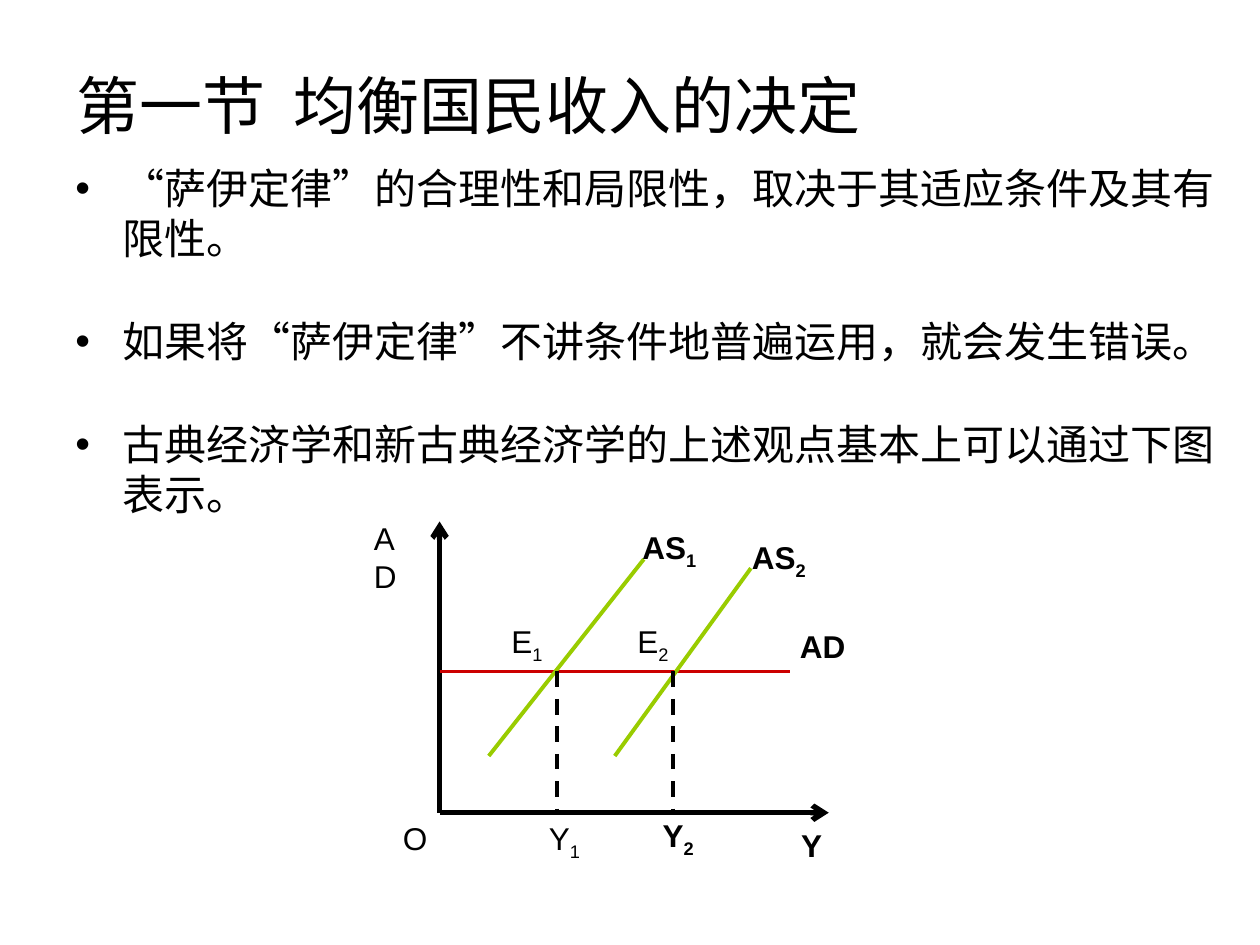
from pptx import Presentation
from pptx.dml.color import RGBColor as RGB
from pptx.enum.dml import MSO_LINE as Dash
from pptx.enum.shapes import MSO_CONNECTOR as Conn
from pptx.enum.text import MSO_ANCHOR as Anchor, MSO_AUTO_SIZE as Fit
from pptx.oxml.ns import qn
from pptx.util import Pt
from lxml.etree import SubElement as Sub

BLACK, RED, GREEN = "000000", "CC0000", "99CC00"
POINTS = [
    "“萨伊定律”的合理性和局限性，取决于其适应条件及其有限性。",
    "如果将“萨伊定律”不讲条件地普遍运用，就会发生错误。",
    "古典经济学和新古典经济学的上述观点基本上可以通过下图表示。",
]


def tint(code):
    return RGB.from_string(code)


def style(para, size, bold=False):
    font = para.font
    font.name, font.size, font.bold = "Arial", Pt(size), bold
    font.color.rgb = tint(BLACK)


def add_box(shapes, x, y, w, h, wrap=True):
    frame = shapes.add_textbox(Pt(x), Pt(y), Pt(w), Pt(h)).text_frame
    frame.word_wrap = wrap
    return frame


def add_title(shapes, x, y, w, h):
    frame = add_box(shapes, x, y, w, h)
    frame.vertical_anchor = Anchor.MIDDLE
    para = frame.paragraphs[0]
    para.text = "第一节  均衡国民收入的决定"
    style(para, 36)


def add_body(shapes, x, y, w, h):
    frame = add_box(shapes, x, y, w, h)
    for i, text in enumerate(POINTS):
        para = frame.add_paragraph() if i else frame.paragraphs[0]
        para.text = text
        if i:
            para.space_before = Pt(30)
        props = para._p.get_or_add_pPr()
        props.set("marL", str(Pt(27)))
        props.set("indent", str(-Pt(27)))
        Sub(props, qn("a:buFont"), typeface="Arial")
        Sub(props, qn("a:buChar"), char="•")
        style(para, 24)


def add_line(shapes, x1, y1, x2, y2, color, width=2.25, dash=False, arrow=False):
    conn = shapes.add_connector(Conn.STRAIGHT, Pt(x1), Pt(y1), Pt(x2), Pt(y2))
    line = conn.line
    line.color.rgb, line.width = tint(color), Pt(width)
    if dash:
        line.dash_style = Dash.DASH
    if arrow:
        Sub(line._get_or_add_ln(), qn("a:tailEnd"), type="arrow")
    Sub(conn._element.spPr, qn("a:effectLst"))


def add_label(shapes, x, y, w, text, sub="", bold=False):
    frame = add_box(shapes, x, y, w, 31.7 if sub else 28.8, wrap=False)
    frame.auto_size = Fit.SHAPE_TO_FIT_TEXT
    para = frame.paragraphs[0]
    para.add_run().text = text
    if sub:
        run = para.add_run()
        run.text = sub
        run.font._element.set("baseline", "-25000")
    style(para, 18, bold)


def add_graph(shapes, x, y, w, h):
    group = shapes.add_group_shape().shapes
    left, base = x + 44.6, y + h - 33
    level, foot = y + 90.7, y + 139

    add_line(group, left, base, x + w - 3, base, BLACK, 3, arrow=True)
    add_line(group, left, base, left, y + 5, BLACK, 3, arrow=True)
    add_line(group, left, level, x + 244.8, level, RED)
    for x1, x2, top in [(72.7, 161.3, 26.6), (144.7, 222.5, 31.7)]:
        add_line(group, x + x1, foot, x + x2, y + top, GREEN)
    for dx in (111.6, 177.8):
        add_line(group, x + dx, level, x + dx, base, BLACK, dash=True)

    labels = [
        (0, 0, 38.9, "AD", "", False),
        (78.5, 59, 32.4, "E", "1", False),
        (150.5, 59, 32.4, "E", "2", False),
        (100, 171.4, 32.4, "Y", "1", False),
        (16.6, 171.4, 28, "O", "", False),
        (243.4, 61.9, 40.3, "AD", "", True),
        (153.4, 5, 45.4, "AS", "1", True),
        (216, 10.8, 45.4, "AS", "2", True),
        (164.9, 169.9, 32.4, "Y", "2", True),
        (244.1, 175.7, 26, "Y", "", True),
    ]
    for dx, dy, wide, text, sub, bold in labels:
        add_label(group, x + dx, y + dy, wide, text, sub, bold)


def main():
    deck = Presentation()
    deck.slide_width, deck.slide_height = Pt(720), Pt(540)
    shapes = deck.slides.add_slide(deck.slide_layouts[6]).shapes
    add_title(shapes, 36.7, 25.9, 648, 67.7)
    add_body(shapes, 36, 89.3, 675.4, 376.6)
    add_graph(shapes, 206.6, 293, 270, 204.4)
    deck.save("out.pptx")


if __name__ == "__main__":
    main()
